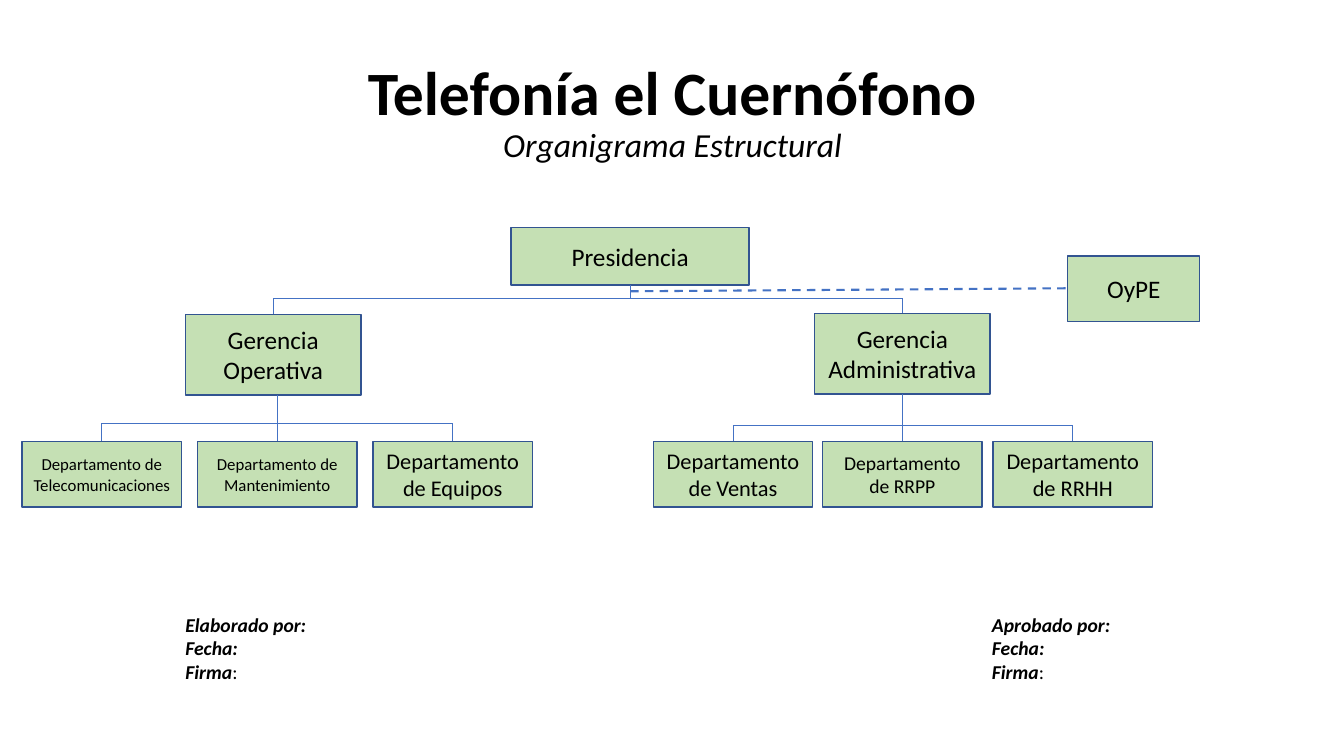
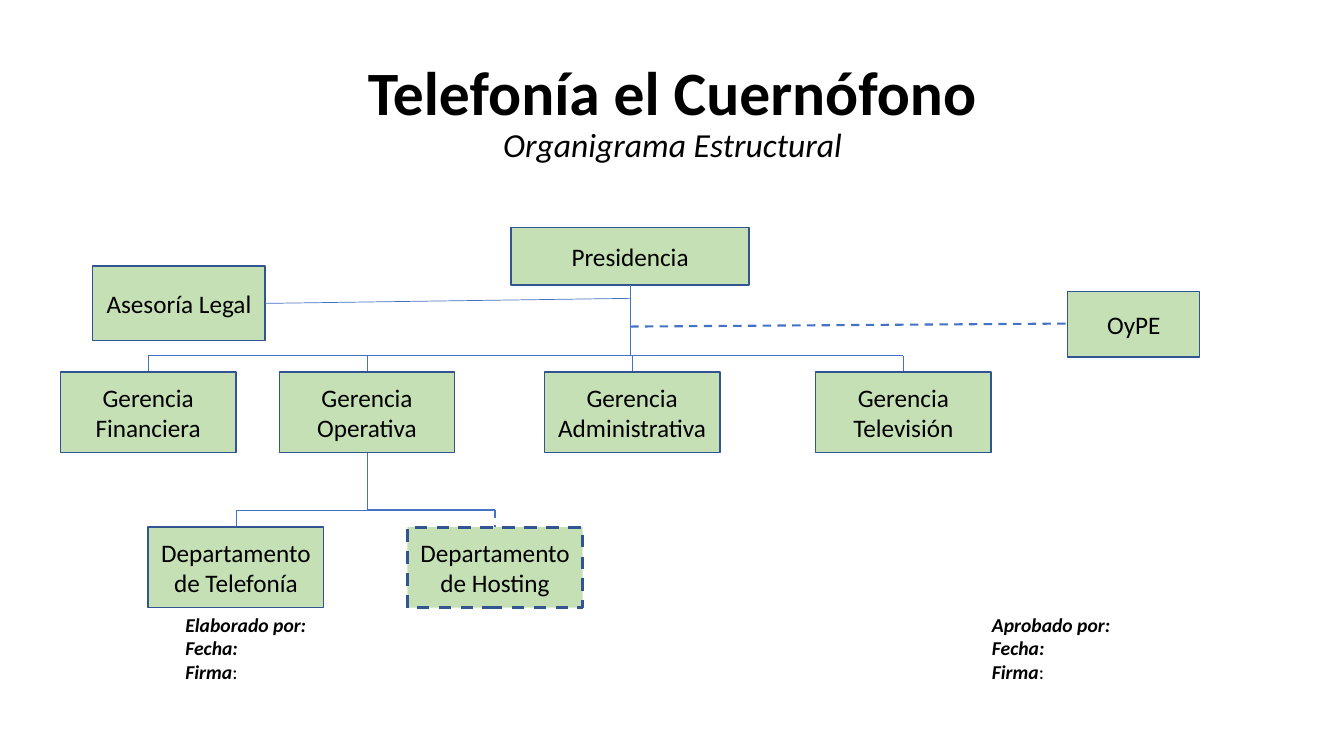
from dataclasses import dataclass

from lxml.etree import SubElement
from pptx import Presentation
from pptx.dml.color import RGBColor
from pptx.enum.dml import MSO_LINE_DASH_STYLE as DASH
from pptx.enum.shapes import MSO_CONNECTOR as CONN, MSO_SHAPE as SHAPE
from pptx.enum.text import MSO_ANCHOR as ANCHOR, MSO_AUTO_SIZE as FIT, PP_ALIGN as ALIGN
from pptx.oxml.ns import qn
from pptx.util import Pt

PX = 9144
FONT = "Calibri"
BLACK, GREEN, NAVY, BLUE = "000000", "C5E0B4", "325491", "4472C4"
TITLE_ONLY = 5


@dataclass
class Box:
    x: int
    y: int
    w: int
    h: int

    @property
    def cx(self):
        return self.x + self.w // 2

    @property
    def cy(self):
        return self.y + self.h // 2

    @property
    def bottom(self):
        return self.y + self.h

    def emu(self):
        return [v * PX for v in (self.x, self.y, self.w, self.h)]


TITLE = Box(92, 40, 1150, 145)
PRESIDENCY = Box(507, 226, 236, 57)
MADE_BY = Box(174, 603, 147, 81)
APPROVED_BY = Box(974, 603, 147, 81)


def rgb(color):
    return RGBColor.from_string(color)


def add_text(p, text, size=18, bold=False, italic=False, color=BLACK):
    r = p.add_run()
    r.text = text
    f = r.font
    f.name, f.size, f.bold, f.italic = FONT, Pt(size), bold, italic
    f.color.rgb = rgb(color)


def style_line(line, color, weight, dashed):
    line.color.rgb = rgb(color)
    line.width = Pt(weight)
    if dashed:
        line.dash_style = DASH.DASH


def add_line(s, x1, y1, x2, y2, weight=0.5, dashed=False):
    c = s.shapes.add_connector(CONN.STRAIGHT, x1 * PX, y1 * PX, x2 * PX, y2 * PX)
    style_line(c.line, BLUE, weight, dashed)
    SubElement(c.element.spPr, qn("a:effectLst"))


def add_unit(s, name, box, size=18, weight=1, dashed=False):
    sp = s.shapes.add_shape(SHAPE.RECTANGLE, *box.emu())
    sp.shadow.inherit = False
    sp.fill.solid()
    sp.fill.fore_color.rgb = rgb(GREEN)
    style_line(sp.line, NAVY, weight, dashed)
    tf = sp.text_frame
    tf.word_wrap = True
    tf.vertical_anchor = ANCHOR.MIDDLE
    p = tf.paragraphs[0]
    p.alignment = ALIGN.CENTER
    add_text(p, name, size)


def add_branch(s, x, top, bus, children):
    centers = [child.cx for child in children]
    add_line(s, x, top, x, bus)
    add_line(s, min(centers + [x]), bus, max(centers + [x]), bus)
    for child in children:
        add_line(s, child.cx, bus, child.cx, child.y)


def add_title(s, box):
    title = s.shapes.title
    title.left, title.top, title.width, title.height = box.emu()
    tf = title.text_frame
    tf.vertical_anchor = ANCHOR.MIDDLE
    p = tf.paragraphs[0]
    p.alignment = ALIGN.CENTER
    p.line_spacing = 0.9
    add_text(p, "Telefonía el Cuernófono", 44, bold=True)
    p.add_line_break()
    add_text(p, "Organigrama Estructural", 24, italic=True)


def add_signature(s, label, box):
    tf = s.shapes.add_textbox(*box.emu()).text_frame
    tf.word_wrap = True
    tf.auto_size = FIT.SHAPE_TO_FIT_TEXT
    for i, text in enumerate([label, "Fecha:", "Firma"]):
        p = tf.add_paragraph() if i else tf.paragraphs[0]
        add_text(p, text, 14, bold=True, italic=True)
    add_text(p, ":", 14)


def add_advisor(s, box, trunk):
    add_unit(s, "OyPE", box)
    add_line(s, trunk, box.cy + 3, box.x, box.cy, 1.5, True)


def add_departments(s, box, units, stem, top, bus):
    width = 158
    step = (box.w - width) / (len(units) - 1)
    boxes = [Box(int(box.x + i * step), box.y, width, box.h) for i in range(len(units))]
    add_branch(s, stem, top, bus, boxes)
    for (name, size), unit in zip(units, boxes):
        add_unit(s, "Departamento de " + name, unit, size)


def add_chart_slide(prs):
    s = prs.slides.add_slide(prs.slide_layouts[TITLE_ONLY])
    add_title(s, TITLE)
    add_unit(s, "Presidencia", PRESIDENCY)
    add_signature(s, "Elaborado por:", MADE_BY)
    add_signature(s, "Aprobado por:", APPROVED_BY)
    return s


def add_two_managements(prs):
    s = add_chart_slide(prs)
    operations, administration = Box(184, 312, 174, 80), Box(808, 311, 174, 80)
    add_branch(s, PRESIDENCY.cx, PRESIDENCY.bottom, 296, [operations, administration])
    add_unit(s, "Gerencia Operativa", operations)
    add_unit(s, "Gerencia Administrativa", administration)
    add_departments(
        s, Box(22, 438, 506, 65),
        [("Telecomunicaciones", 12), ("Mantenimiento", 12), ("Equipos", 16)],
        275, operations.bottom, 420)
    add_departments(
        s, Box(648, 438, 495, 65),
        [("Ventas", 16), ("RRPP", 14), ("RRHH", 16)],
        administration.cx, administration.bottom, 422)
    add_advisor(s, Box(1059, 254, 131, 65), PRESIDENCY.cx)


def add_four_managements(prs):
    s = add_chart_slide(prs)
    trunk = PRESIDENCY.cx
    lefts = {"Financiera": 60, "Operativa": 277, "Administrativa": 540, "Televisión": 809}
    managements = {name: Box(x, 369, 174, 80) for name, x in lefts.items()}
    add_branch(s, trunk, PRESIDENCY.bottom, 353, managements.values())
    for name, box in managements.items():
        add_unit(s, "Gerencia " + name, box)

    legal = Box(92, 264, 171, 74)
    add_unit(s, "Asesoría Legal", legal)
    add_line(s, legal.x + legal.w, legal.cy, trunk, 296)
    add_advisor(s, Box(1059, 289, 131, 65), trunk)

    operations = managements["Operativa"]
    telephony, hosting = Box(147, 523, 174, 80), Box(404, 523, 174, 80)
    bus = 506
    add_branch(s, operations.cx, operations.bottom, bus, [telephony])
    add_line(s, operations.cx, bus, hosting.cx, bus, 1.5)
    add_line(s, hosting.cx, bus, hosting.cx, hosting.y, 1.5, True)
    add_unit(s, "Departamento de Telefonía", telephony)
    add_unit(s, "Departamento de Hosting", hosting, weight=2.25, dashed=True)


def main():
    prs = Presentation()
    prs.slide_width, prs.slide_height = 1333 * PX, 750 * PX
    add_two_managements(prs)
    add_four_managements(prs)
    prs.save("out.pptx")


if __name__ == "__main__":
    main()
